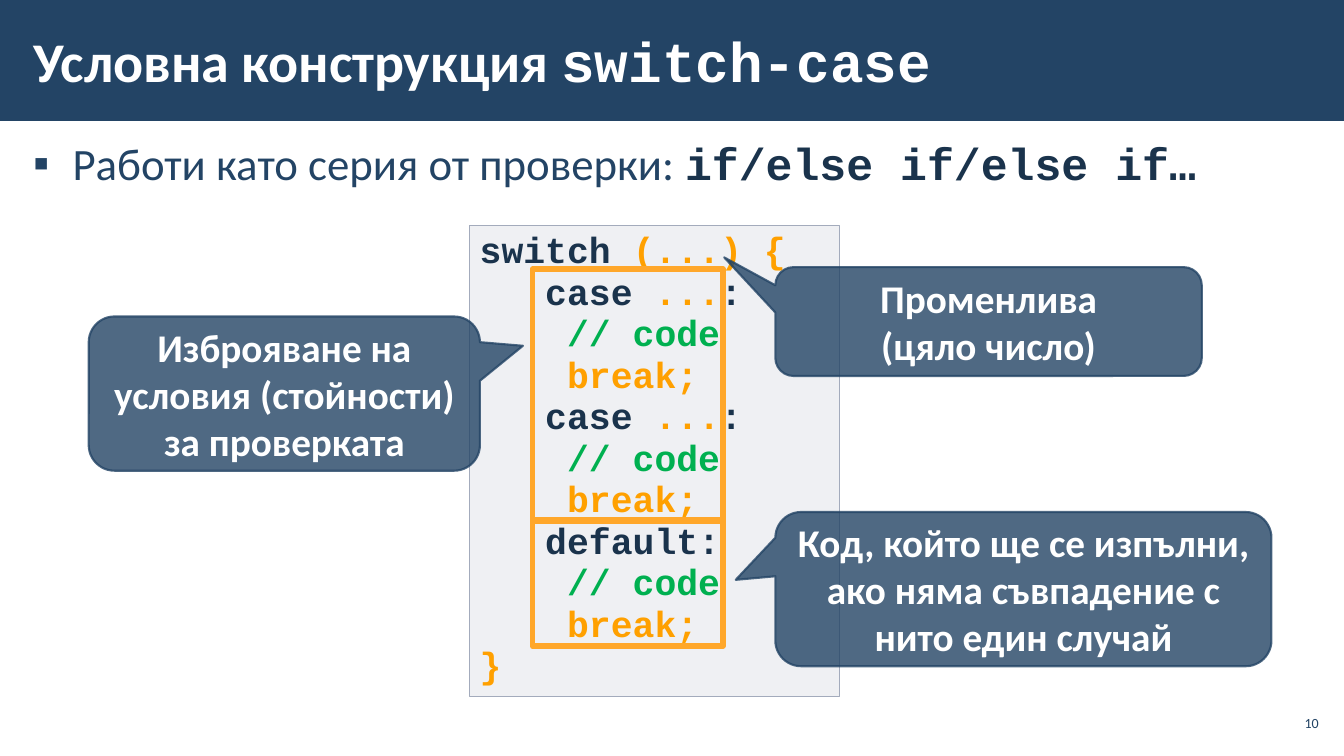
from pptx import Presentation
from pptx.dml.color import RGBColor
from pptx.enum.shapes import MSO_SHAPE
from pptx.enum.text import MSO_ANCHOR, PP_ALIGN
from pptx.oxml.ns import qn
from pptx.util import Inches, Pt
from lxml.etree import SubElement

NAVY = RGBColor(0x23, 0x44, 0x65)
DARK = RGBColor(0x1A, 0x33, 0x4C)
ORANGE = RGBColor(0xFF, 0xA0, 0x00)
FRAME_ORANGE = RGBColor(0xFF, 0xA7, 0x2A)
GREEN = RGBColor(0x00, 0xB0, 0x50)
PANEL_FILL = RGBColor(0xC2, 0xC7, 0xD2)
PANEL_LINE = RGBColor(0xA3, 0xAB, 0xBC)
WHITE = RGBColor(0xFF, 0xFF, 0xFF)
SANS = "Calibri"
MONO = "Courier New"

CASE = [("   case", DARK), (" ...", ORANGE), (":", DARK)]
BODY = [[("    // code", GREEN)], [("    break;", ORANGE)]]
SWITCH_CODE = [
    [("switch ", DARK), ("(...) {", ORANGE)],
    CASE, *BODY,
    CASE, *BODY,
    [("   default:", DARK)], *BODY,
    [("}", ORANGE)],
]


def write(box, paragraphs, size, font=SANS, bold=False, align=PP_ALIGN.LEFT,
          anchor=MSO_ANCHOR.TOP, margins=(0.1, 0.05), spacing=1.0):
    """Fill a box with paragraphs, each a list of (text, colour[, font, bold])."""
    frame = box.text_frame
    frame.word_wrap = True
    frame.vertical_anchor = anchor
    frame.margin_left = frame.margin_right = Inches(margins[0])
    frame.margin_top = frame.margin_bottom = Inches(margins[1])
    for index, spans in enumerate(paragraphs):
        para = frame.paragraphs[0] if index == 0 else frame.add_paragraph()
        para.alignment = align
        para.line_spacing = spacing
        for text, color, *style in spans:
            span = para.add_run()
            span.text = text
            span.font.size = Pt(size)
            span.font.color.rgb = color
            span.font.name, span.font.bold = style or (font, bold)


def set_opacity(color_format, percent):
    color = color_format._xFill.find(qn("a:srgbClr"))
    SubElement(color, qn("a:alpha"), val=str(percent * 1000))


def add_text(page, place, paragraphs, size, **text_format):
    box = page.shapes.add_textbox(*map(Inches, place))
    write(box, paragraphs, size, **text_format)
    return box


def add_box(page, place, kind=MSO_SHAPE.RECTANGLE, fill=None, fill_opacity=100,
            line=None, line_width=1, line_opacity=100):
    box = page.shapes.add_shape(kind, *map(Inches, place))
    box.shadow.inherit = False
    if fill is None:
        box.fill.background()
    else:
        box.fill.solid()
        box.fill.fore_color.rgb = fill
        set_opacity(box.fill.fore_color, fill_opacity)
    if line is None:
        box.line.fill.background()
    else:
        box.line.color.rgb = line
        box.line.width = Pt(line_width)
        set_opacity(box.line.color, line_opacity)
    return box


def add_callout(page, place, tip, lines):
    """Add a speech bubble; tip is its point, relative to the centre."""
    box = add_box(page, place, MSO_SHAPE.ROUNDED_RECTANGULAR_CALLOUT, NAVY, 80,
                  NAVY, 1.5, 80)
    box.adjustments[0], box.adjustments[1] = tip
    write(box, [[(line, WHITE)] for line in lines], 28, bold=True,
          align=PP_ALIGN.CENTER, anchor=MSO_ANCHOR.MIDDLE)


def add_bullet(para, symbol):
    properties = para._p.get_or_add_pPr()
    properties.set("marL", str(Inches(0.39)))
    properties.set("indent", str(-Inches(0.39)))
    SubElement(properties, qn("a:buFont"), typeface=SANS)
    SubElement(properties, qn("a:buChar"), char=symbol)


def main():
    deck = Presentation()
    deck.slide_width, deck.slide_height = Inches(13.33), Inches(7.5)
    page = deck.slides.add_slide(deck.slide_layouts[6])

    add_box(page, (0, 0, 13.33, 1.2), fill=NAVY)
    add_text(page, (0.21, 0.11, 10.63, 0.97),
             [[("Условна конструкция ", WHITE),
               ("switch-case", WHITE, MONO, True)]],
             40, bold=True, anchor=MSO_ANCHOR.MIDDLE, margins=(0.12, 0.04))
    intro = add_text(page, (0.21, 1.31, 12.92, 0.75),
                     [[("Работи като серия от проверки: ", NAVY),
                       ("if/else if/else if…", DARK, MONO, True)]],
                     32, margins=(0.12, 0.04))
    add_bullet(intro.text_frame.paragraphs[0], "▪")
    add_text(page, (12.65, 7, 0.47, 0.34), [[("10", NAVY)]], 10,
             align=PP_ALIGN.RIGHT, anchor=MSO_ANCHOR.MIDDLE, margins=(0.04, 0.04))

    panel = add_box(page, (4.66, 2.24, 3.67, 4.67), fill=PANEL_FILL,
                    fill_opacity=25, line=PANEL_LINE)
    write(panel, SWITCH_CODE, 26, font=MONO, bold=True, spacing=0.95)

    add_callout(page, (0.88, 3.14, 3.88, 1.53), (0.61, -0.31),
                ["Изброяване на условия (стойности) за проверката"])
    for top, height in ((2.67, 2.49), (5.17, 1.24)):
        add_box(page, (5.28, top, 1.89, height), line=FRAME_ORANGE, line_width=4)
    add_callout(page, (7.69, 5.08, 4.92, 1.53), (-0.58, -0.06),
                ["Код, който ще се изпълни, ако няма съвпадение с нито един случай"])
    add_callout(page, (7.69, 2.65, 4.23, 1.08), (-0.62, -0.59),
                ["Променлива", "(цяло число)"])

    deck.save("out.pptx")


if __name__ == "__main__":
    main()
